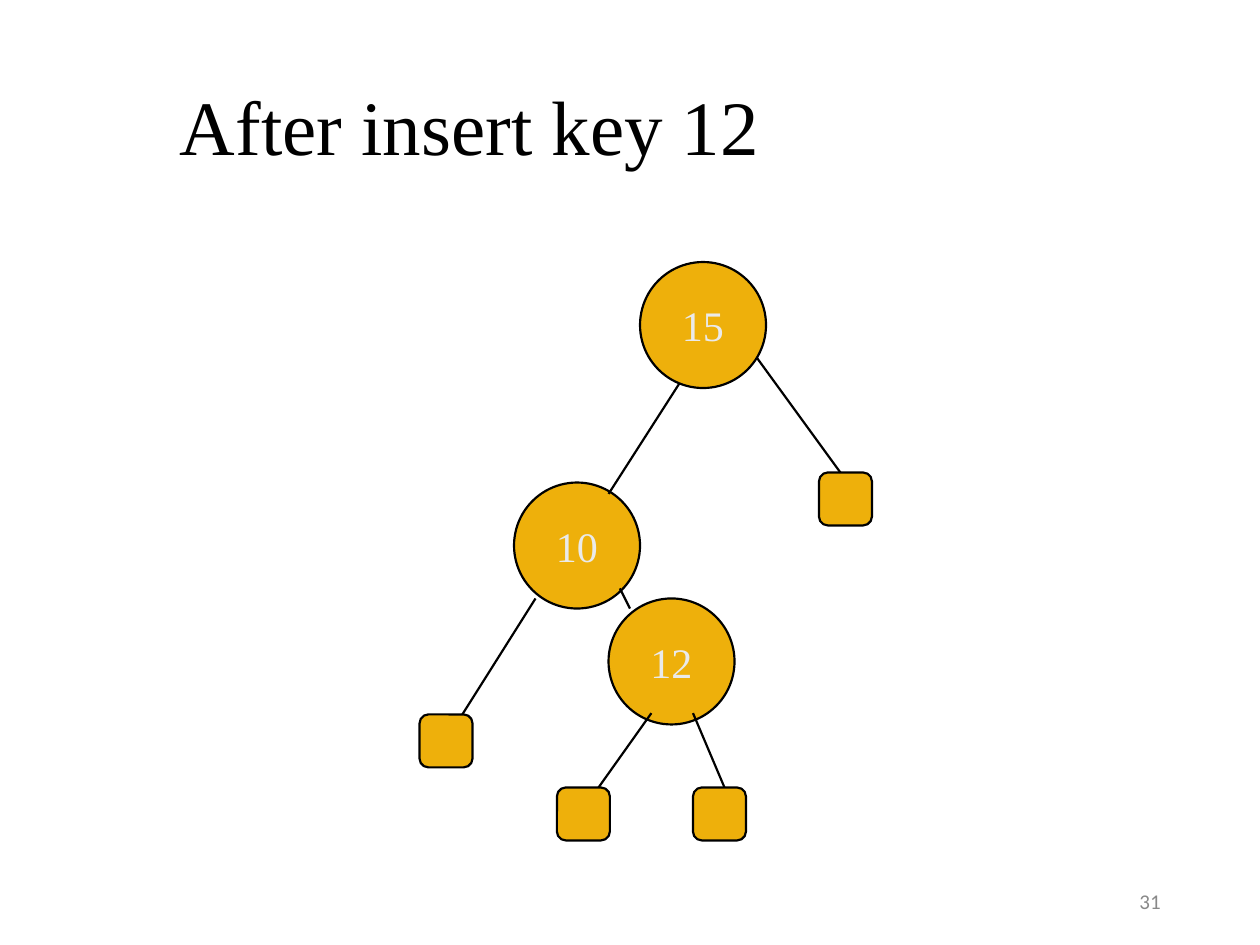
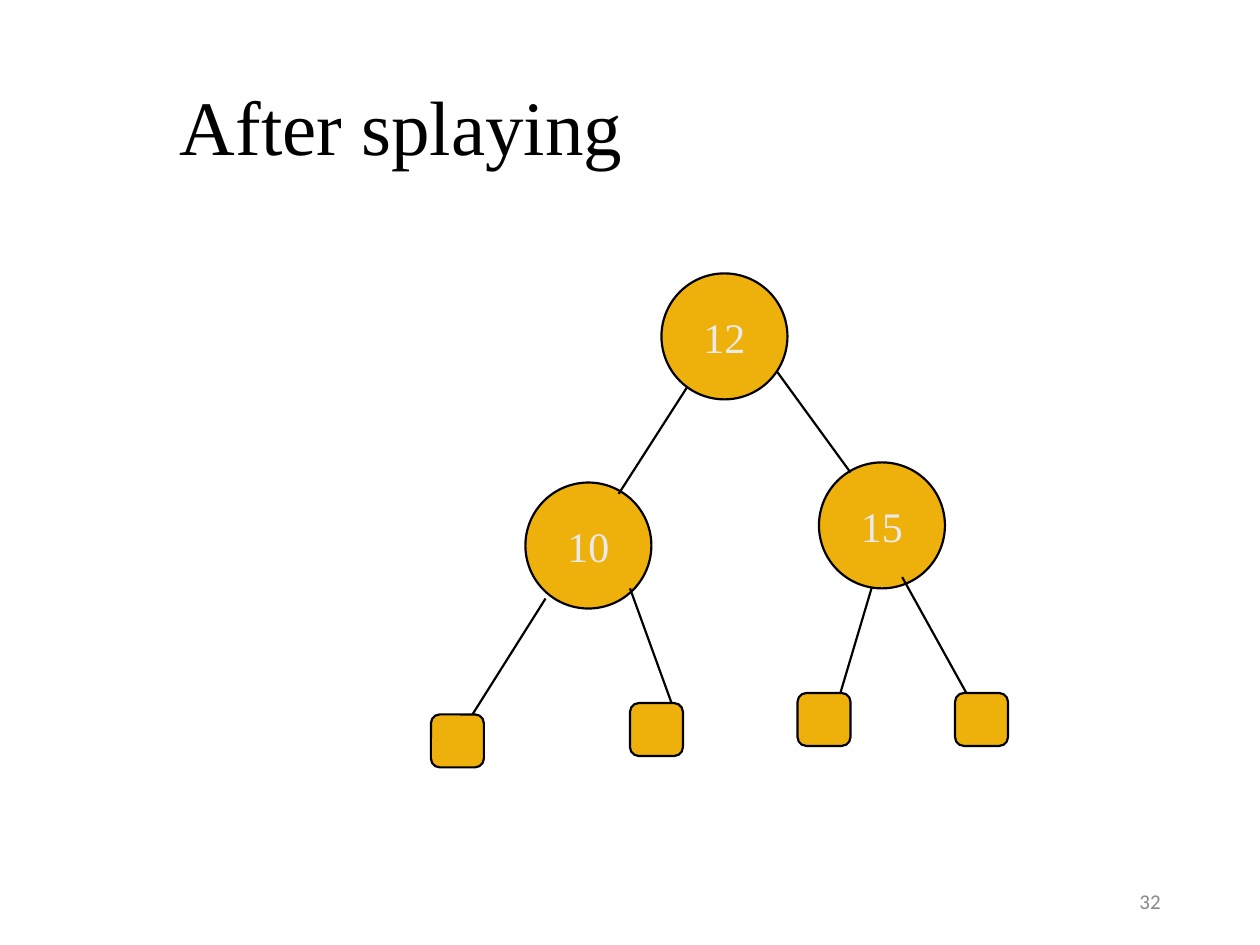
from pptx import Presentation
from pptx.dml.color import RGBColor
from pptx.enum.shapes import MSO_CONNECTOR as Link, MSO_SHAPE as Shape
from pptx.enum.text import MSO_ANCHOR as Anchor, PP_ALIGN as Align
from pptx.util import Inches, Pt
from lxml.etree import SubElement
from pptx.oxml.ns import qn

COLORS = {"node": "EEB00B", "line": "000000", "key": "EAEAEA",
          "title": "000000", "number": "898989"}
SERIF, SANS = "Times New Roman", "Calibri"
TITLE_BOX = (1.33, 0.33, 8.5, 1.32)
NUMBER_BOX = (7.06, 6.95, 2.25, 0.4)
NODE_SIZE, LEAF_SIZE, LINE_WIDTH = 1, 0.42, 1.25

TREES = [
    {
        "title": "After insert key 12",
        "number": "31",
        "origin": (3.33, 2.08),
        "root": ("15", 1.75, 0),
        "nodes": [("10", 0.75, 1.75), ("12", 1.5, 2.67)],
        "leaves": [(0, 3.59), (1.09, 4.17), (2.17, 4.17), (3.17, 1.67)],
        "edges": [
            (2.09, 0.92, 1.5, 1.84), (2.67, 0.75, 3.34, 1.67),
            (0.92, 2.67, 0.34, 3.59), (1.59, 2.59, 1.67, 2.75),
            (1.84, 3.58, 1.42, 4.17), (2.17, 3.58, 2.42, 4.17),
        ],
    },
    {
        "title": "After splaying",
        "number": "32",
        "origin": (3.42, 2.17),
        "root": ("12", 1.83, 0),
        "nodes": [("10", 0.75, 1.66), ("15", 3.08, 1.5)],
        "leaves": [(0, 3.5), (1.58, 3.41), (2.91, 3.33), (4.16, 3.33)],
        "edges": [
            (2.08, 0.83, 1.49, 1.75), (2.66, 0.66, 3.33, 1.58),
            (0.91, 2.58, 0.33, 3.5), (1.58, 2.5, 1.91, 3.41),
            (3.5, 2.49, 3.25, 3.33), (3.74, 2.41, 4.25, 3.33),
        ],
    },
]


def color(name):
    return RGBColor.from_string(COLORS[name])


def write(shape, text, size, ink, font=SERIF, align=Align.LEFT, wrap=True):
    frame = shape.text_frame
    frame.word_wrap = wrap
    frame.vertical_anchor = Anchor.MIDDLE
    para = frame.paragraphs[0]
    para.alignment = align
    span = para.add_run()
    span.text = text
    span.font.name = font
    span.font.size = Pt(size)
    span.font.color.rgb = color(ink)


def add_text(page, box, text, **style):
    write(page.shapes.add_textbox(*map(Inches, box)), text, **style)


def add_marker(page, kind, left, top, size):
    marker = page.shapes.add_shape(kind, *map(Inches, (left, top, size, size)))
    marker.shadow.inherit = False
    marker.fill.solid()
    marker.fill.fore_color.rgb = color("node")
    marker.line.color.rgb = color("line")
    marker.line.width = Pt(LINE_WIDTH)
    return marker


def add_node(page, key, left, top):
    node = add_marker(page, Shape.OVAL, left, top, NODE_SIZE)
    write(node, key, size=24, ink="key", align=Align.CENTER, wrap=False)


def add_edge(page, *ends):
    edge = page.shapes.add_connector(Link.STRAIGHT, *map(Inches, ends))
    edge.line.color.rgb = color("line")
    edge.line.width = Pt(LINE_WIDTH)
    SubElement(edge._element.spPr, qn("a:effectLst"))


def draw_tree(page, tree):
    left, top = tree["origin"]
    for key, x, y in tree["nodes"]:
        add_node(page, key, left + x, top + y)
    for x, y in tree["leaves"]:
        add_marker(page, Shape.ROUNDED_RECTANGLE, left + x, top + y, LEAF_SIZE)
    for x1, y1, x2, y2 in tree["edges"]:
        add_edge(page, left + x1, top + y1, left + x2, top + y2)
    key, x, y = tree["root"]
    add_node(page, key, left + x, top + y)


def add_tree_page(deck, tree):
    page = deck.slides.add_slide(deck.slide_layouts[6])
    add_text(page, TITLE_BOX, tree["title"], size=44, ink="title")
    draw_tree(page, tree)
    add_text(page, NUMBER_BOX, tree["number"], size=12, ink="number",
             font=SANS, align=Align.RIGHT)


def main():
    deck = Presentation()
    deck.slide_width, deck.slide_height = Inches(10), Inches(7.5)
    for tree in TREES:
        add_tree_page(deck, tree)
    deck.save("out.pptx")


if __name__ == "__main__":
    main()
